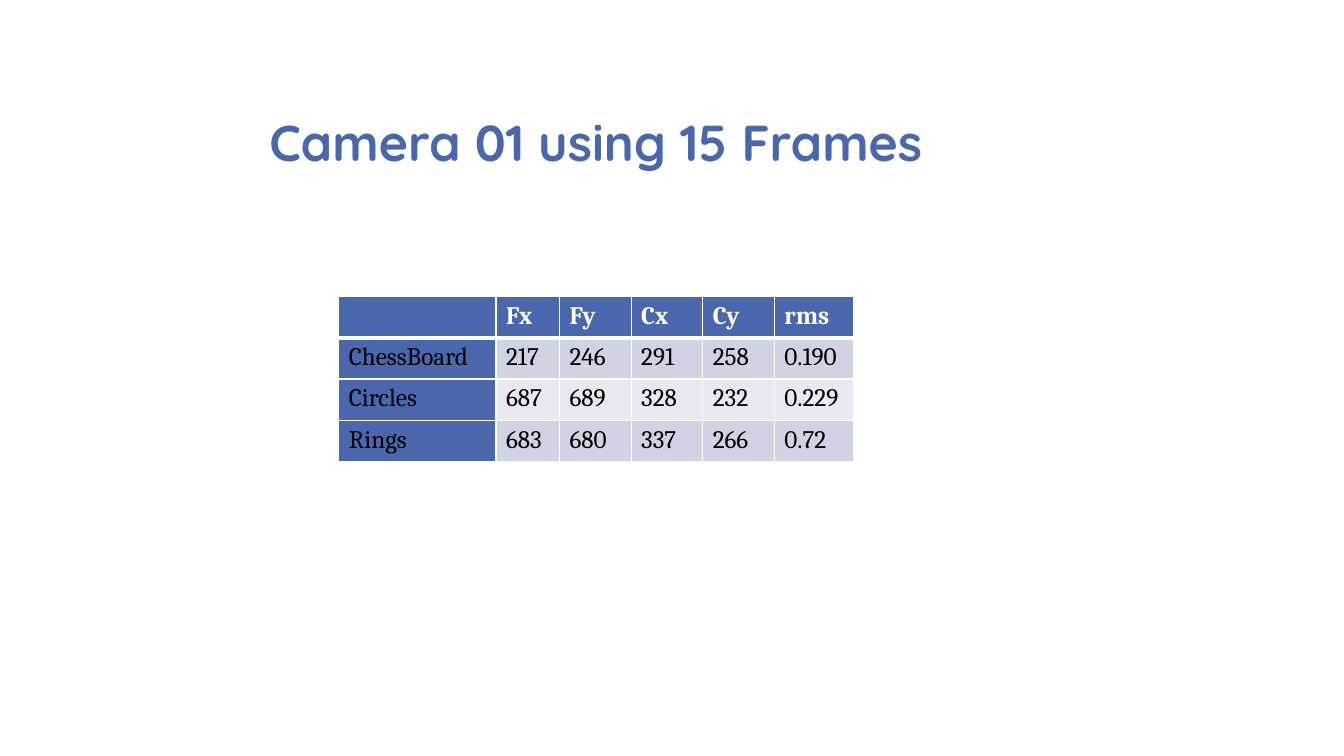
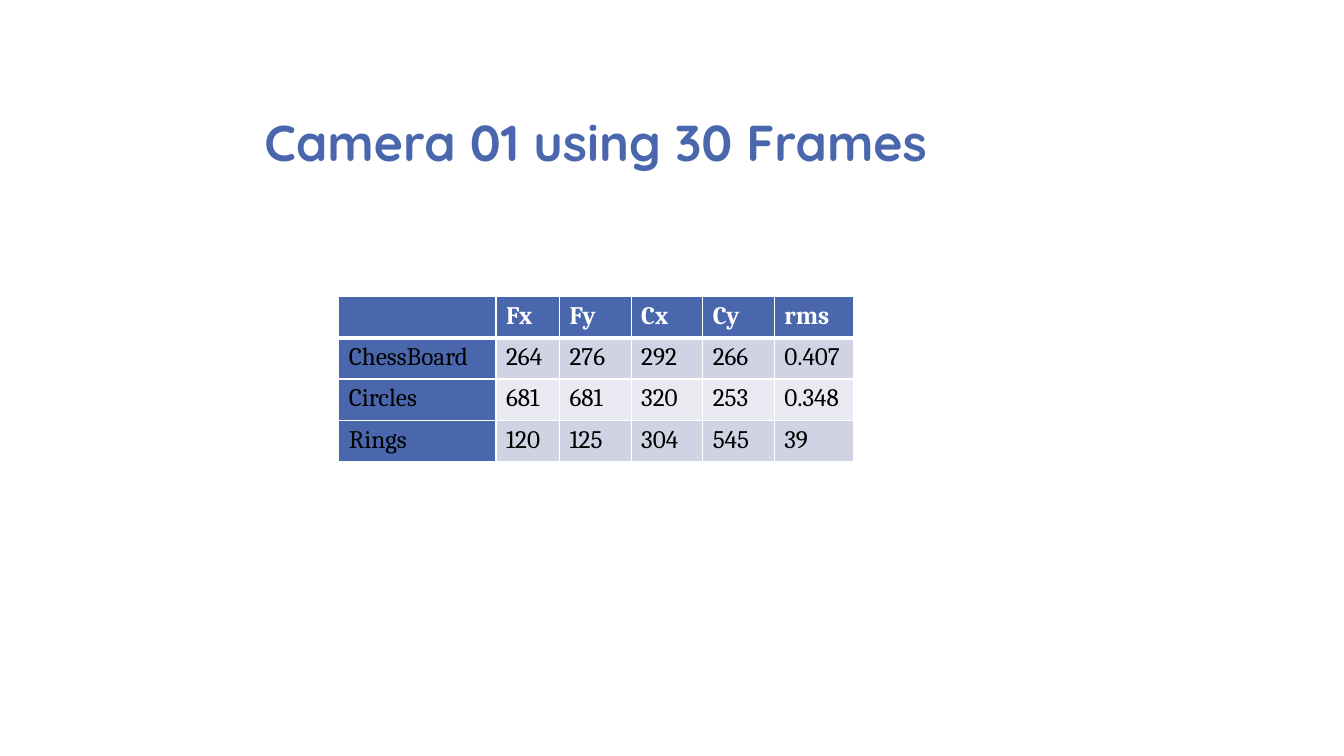
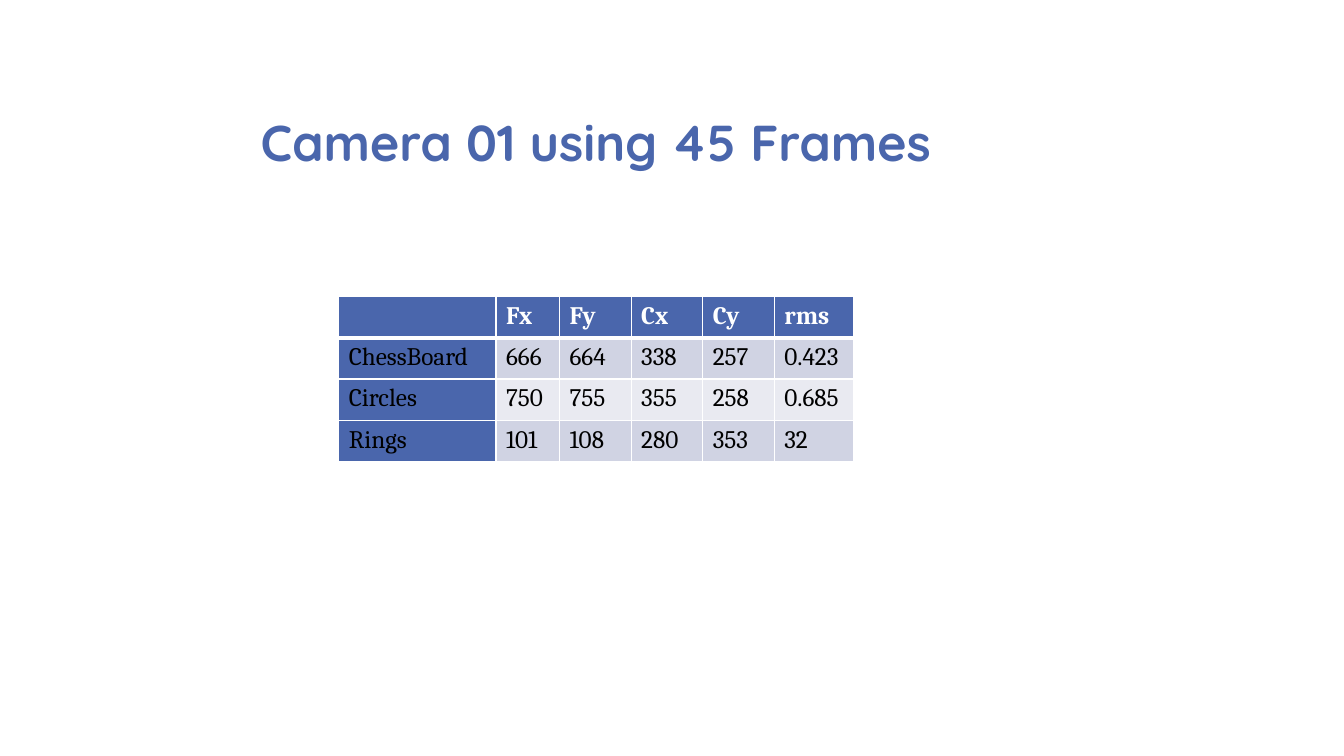
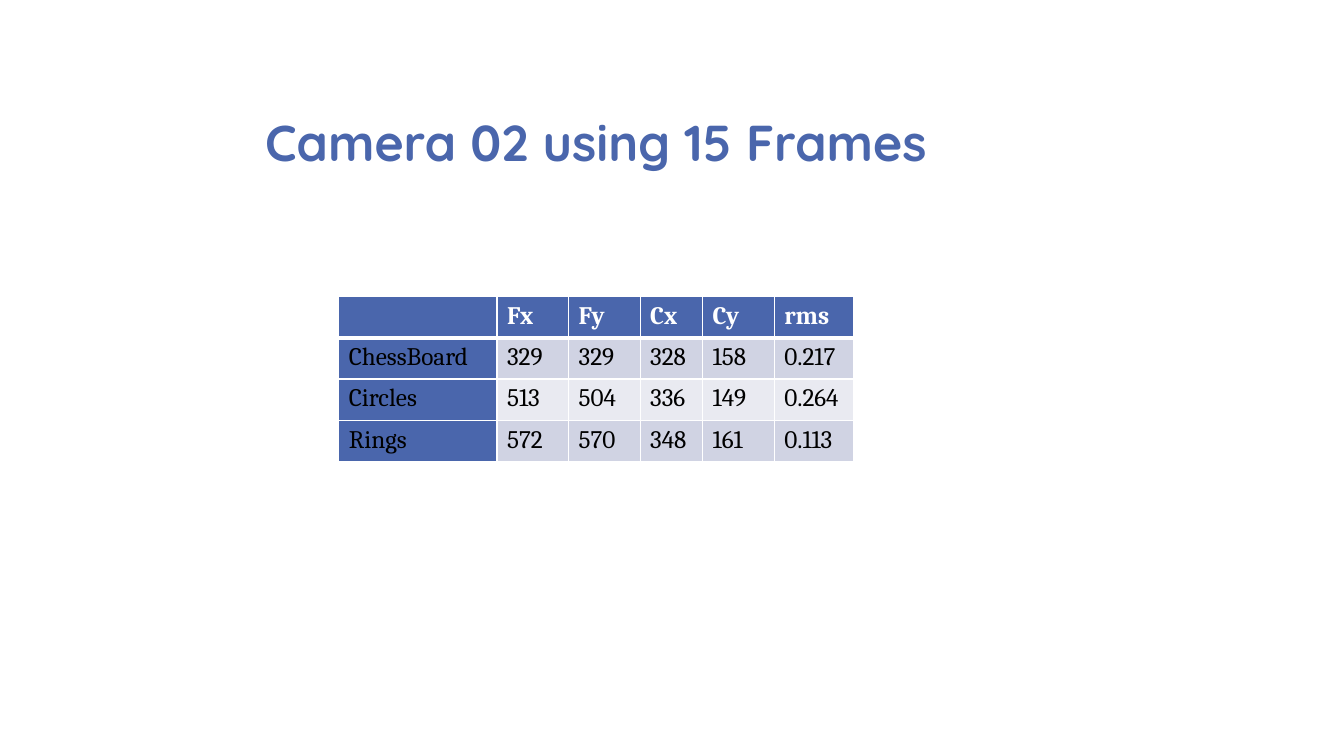
from lxml import etree
from pptx import Presentation
from pptx.dml.color import RGBColor
from pptx.enum import text
from pptx.oxml import ns
from pptx.util import Inches, Pt

COLOURS = {
    "accent": "4A66AC",
    "odd_row": "D0D3E3",
    "even_row": "E9EAF1",
    "white": "FFFFFF",
    "black": "000000",
}
TITLE_FONT = "Quicksand"
TABLE_FONT = "Cambria"
ROW_HEIGHT = 0.41

HEADINGS = ["", "Fx", "Fy", "Cx", "Cy", "rms"]
PATTERNS = ["ChessBoard", "Circles", "Rings"]
CAMERA_1_WIDTHS = [1.56, 0.63, 0.71, 0.71, 0.71, 0.79]
CAMERA_2_WIDTHS = [1.57, 0.71, 0.71, 0.62, 0.71, 0.79]

# Title, column widths, and one line of values for each pattern
CALIBRATIONS = [
    ("Camera 01 using 15 Frames", CAMERA_1_WIDTHS,
     ["217 246 291 258 0.190", "687 689 328 232 0.229", "683 680 337 266 0.72"]),
    ("Camera 01 using 30 Frames", CAMERA_1_WIDTHS,
     ["264 276 292 266 0.407", "681 681 320 253 0.348", "120 125 304 545 39"]),
    ("Camera 01 using 45 Frames", CAMERA_1_WIDTHS,
     ["666 664 338 257 0.423", "750 755 355 258 0.685", "101 108 280 353 32"]),
    ("Camera 02 using 15 Frames", CAMERA_2_WIDTHS,
     ["329 329 328 158 0.217", "513 504 336 149 0.264", "572 570 348 161 0.113"]),
]


def colour(name):
    return RGBColor.from_string(COLOURS[name])


class Deck:
    def __init__(self):
        self.prs = Presentation()
        self.prs.slide_width, self.prs.slide_height = Inches(13.33), Inches(7.5)
        self.slide = None

    def add_slide(self, heading):
        self.slide = self.prs.slides.add_slide(self.prs.slide_layouts[5])
        background = self.slide.background.fill
        background.solid()
        background.fore_color.rgb = colour("white")
        self.title(heading)

    def style(self, paragraph, font, size, shade, bold):
        for run in paragraph.runs:
            run.font.name, run.font.size, run.font.bold = font, Pt(size), bold
            run.font.color.rgb = colour(shade)

    def title(self, heading):
        title = self.slide.shapes.title
        title.left, title.top = Inches(1.16), Inches(0.58)
        title.width, title.height = Inches(9.5), Inches(1.17)
        frame = title.text_frame
        frame.text = heading
        frame.word_wrap = True
        frame.auto_size = text.MSO_AUTO_SIZE.NONE
        frame.vertical_anchor = text.MSO_ANCHOR.BOTTOM
        paragraph = frame.paragraphs[0]
        paragraph.alignment = text.PP_ALIGN.CENTER
        paragraph.line_spacing = 0.8
        self.style(paragraph, TITLE_FONT, 36, "accent", True)

    def table(self, rows, widths):
        table = self.slide.shapes.add_table(
            len(rows), len(widths), Inches(3.36), Inches(2.94),
            Inches(sum(widths)), Inches(ROW_HEIGHT * len(rows))).table
        for column, width in zip(table.columns, widths):
            column.width = Inches(width)
        for r, row in enumerate(rows):
            table.rows[r].height = Inches(ROW_HEIGHT)
            for c, value in enumerate(row):
                self.cell(table.cell(r, c), value, r, c)

    def cell(self, cell, value, r, c):
        is_header = r == 0
        self.borders(cell, top=3 if r == 1 else 1, bottom=3 if is_header else 1)
        band = "odd_row" if r % 2 else "even_row"
        cell.fill.solid()
        cell.fill.fore_color.rgb = colour("accent" if is_header or c == 0 else band)
        cell.text_frame.text = value
        self.style(cell.text_frame.paragraphs[0], TABLE_FONT, 18,
                   "white" if is_header else "black", is_header)

    def borders(self, cell, top, bottom):
        """Draw white cell edges; must run before the cell is filled."""
        properties = cell._tc.get_or_add_tcPr()
        for side, width in (("L", 1), ("R", 1), ("T", top), ("B", bottom)):
            edge = etree.SubElement(properties, ns.qn("a:ln" + side), w=str(Pt(width)))
            fill = etree.SubElement(edge, ns.qn("a:solidFill"))
            etree.SubElement(fill, ns.qn("a:srgbClr"), val=COLOURS["white"])


def main():
    deck = Deck()
    for heading, widths, results in CALIBRATIONS:
        deck.add_slide(heading)
        body = [[pattern, *values.split()] for pattern, values in zip(PATTERNS, results)]
        deck.table([HEADINGS, *body], widths)
    deck.prs.save("out.pptx")


if __name__ == "__main__":
    main()
